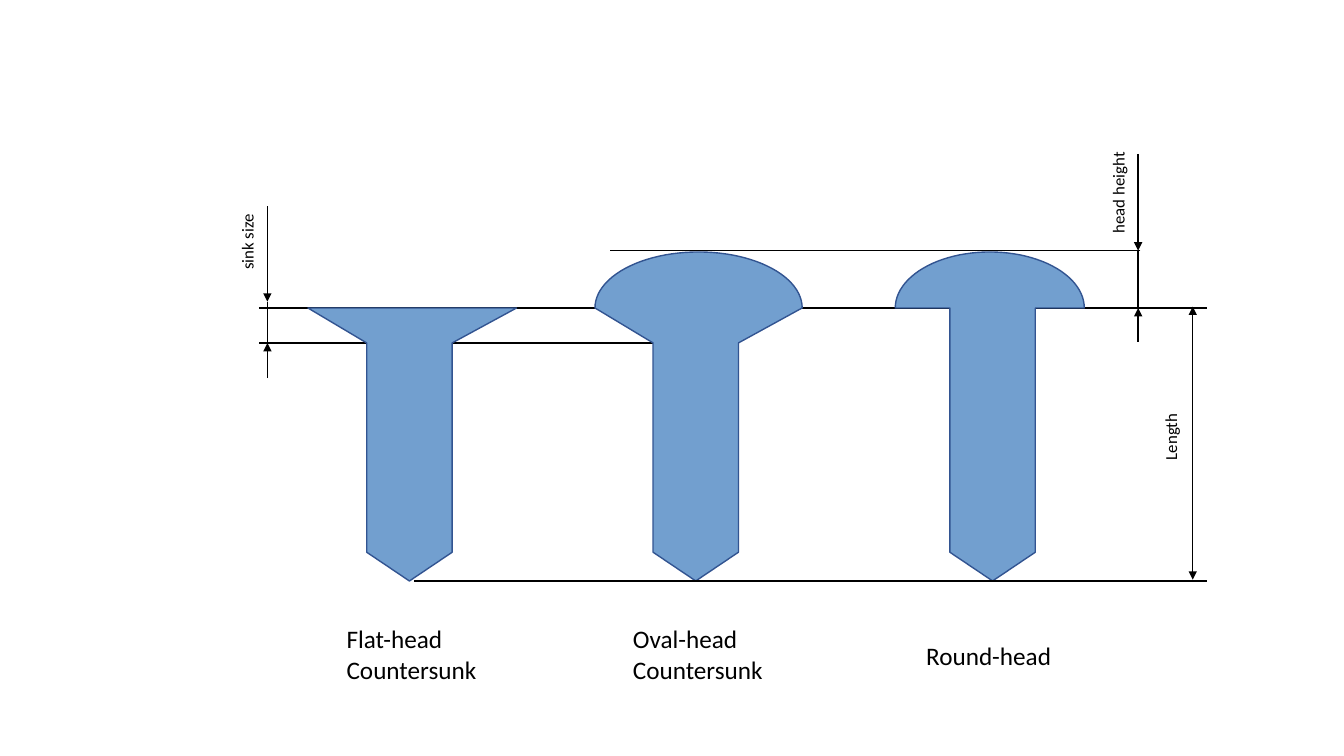
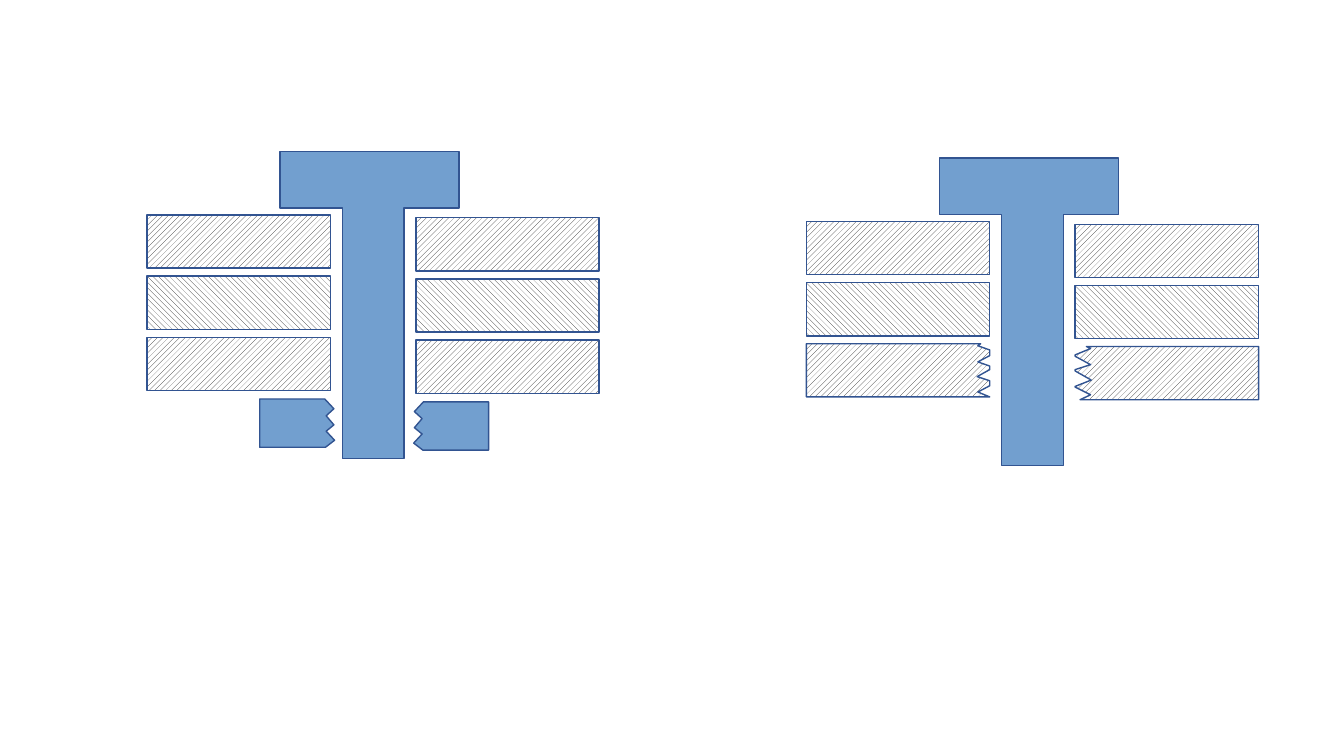
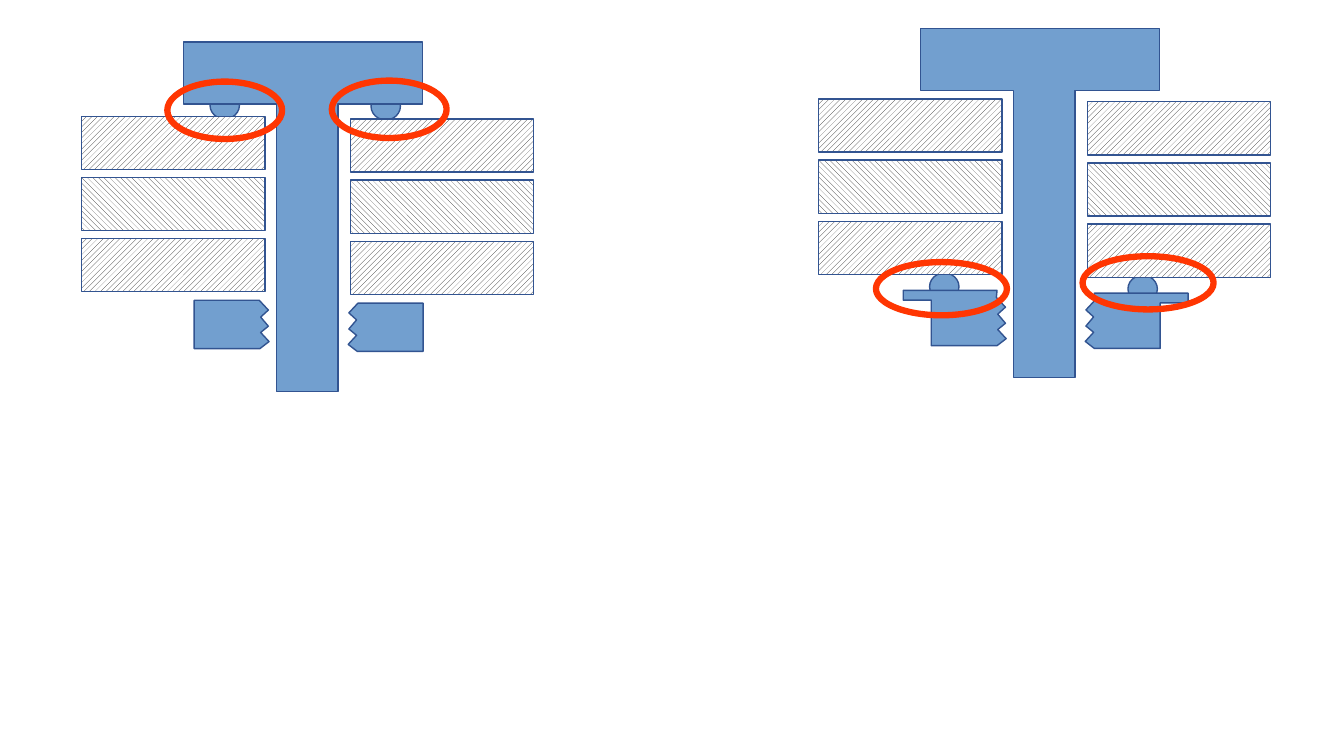
from dataclasses import dataclass
from math import cos, pi, sin

from lxml.etree import SubElement
from pptx import Presentation
from pptx.dml.color import RGBColor
from pptx.enum.dml import MSO_PATTERN
from pptx.enum.shapes import MSO_CONNECTOR, MSO_SHAPE
from pptx.enum.text import MSO_AUTO_SIZE
from pptx.oxml.ns import qn
from pptx.util import Pt


@dataclass(frozen=True)
class Theme:
    steel: RGBColor = RGBColor(0x72, 0x9F, 0xCF)
    edge: RGBColor = RGBColor(0x32, 0x54, 0x91)
    ink: RGBColor = RGBColor(0, 0, 0)
    hatch: RGBColor = RGBColor(0x26, 0x26, 0x26)
    paper: RGBColor = RGBColor(0xFF, 0xFF, 0xFF)
    alert: RGBColor = RGBColor(0xFF, 0x36, 0x02)
    font: str = "Calibri"
    note: float = 12
    title: float = 18
    thin: float = 1
    thick: float = 4.5


THEME = Theme()
RISE = MSO_PATTERN.WIDE_UPWARD_DIAGONAL
FALL = MSO_PATTERN.WIDE_DOWNWARD_DIAGONAL

DATUM, CROWN, SINK, POINT, TIP = 220, 180, 245, 394.5, 415

WIDTH, HEIGHT = 131, 38
PITCH, SPAN, DROP = 43.7, 192, 2

THREAD = [(46.5, 0), (53, 7), (47.5, 12), (53, 18.5), (47.5, 23),
          (53.5, 29.5), (47, 34.5)]
NUT = [(0, 0), *THREAD, (0, 34.5)]
FLANGED = [(-20, -5), (47, -5), *THREAD, (0, 34.5), (0, 2), (-20, 2)]
TAP_LEFT = [(0, 0), (124.5, 0), (122.5, 1.5), (131, 4.5), (131, 8.5),
            (122.5, 13), (131, 16), (131, 18.5), (122, 23.5), (131, 26.5),
            (131, 30), (122.5, 34.5), (131, 38), (0, 38)]
TAP_RIGHT = [(0, 0), (123, 0), (120, 1.5), (131, 6), (131, 7), (120, 13),
             (131, 16.5), (131, 17.5), (119.5, 24), (131, 28.5), (131, 29),
             (120, 34.5), (127.5, 38), (0, 38)]


def paint(shape, hatch=None):
    shape.shadow.inherit = False
    if hatch is None:
        shape.fill.solid()
        shape.fill.fore_color.rgb = THEME.steel
    else:
        shape.fill.patterned()
        shape.fill.pattern = hatch
        shape.fill.fore_color.rgb = THEME.hatch
        shape.fill.back_color.rgb = THEME.paper
    shape.line.color.rgb = THEME.edge
    shape.line.width = Pt(THEME.thin)


def basic(slide, kind, left, top, width, height):
    return slide.shapes.add_shape(kind, Pt(left), Pt(top), Pt(width), Pt(height))


def outline(slide, points, hatch=None):
    dots = [(Pt(x), Pt(y)) for x, y in points]
    build = slide.shapes.build_freeform(*dots[0], scale=1.0)
    build.add_line_segments(dots[1:], close=True)
    paint(build.convert_to_shape(), hatch)


def profile(slide, left, top, side, points, hatch=None):
    outline(slide, [(left + side * x, top + y) for x, y in points], hatch)


def rule(slide, start, end, head=False, tail=False):
    line = slide.shapes.add_connector(
        MSO_CONNECTOR.STRAIGHT, *(Pt(v) for v in (*start, *end)))
    line.line.color.rgb = THEME.ink
    line.line.width = Pt(THEME.thin)
    props = line._element.spPr
    stroke = props.find(qn("a:ln"))
    for tag, shown in (("a:headEnd", head), ("a:tailEnd", tail)):
        if shown:
            SubElement(stroke, qn(tag)).set("type", "triangle")
    SubElement(props, qn("a:effectLst"))


def label(slide, text, left, top, width, height, size, turn=0):
    box = slide.shapes.add_textbox(Pt(left), Pt(top), Pt(width), Pt(height))
    box.rotation = turn
    frame = box.text_frame
    frame.word_wrap = bool(turn)
    frame.auto_size = MSO_AUTO_SIZE.SHAPE_TO_FIT_TEXT
    frame.text = text
    for para in frame.paragraphs:
        for run in para.runs:
            run.font.name = THEME.font
            run.font.size = Pt(size)
            run.font.color.rgb = THEME.ink


def note(slide, text, left, top):
    label(slide, text, left, top, 74, 21.6, THEME.note, 270)


def screw(slide, shank, head, half, dome, cone):
    steps = 48 if dome else 1
    crown = [(head - half * cos(pi * i / steps),
              DATUM - (DATUM - CROWN) * sin(pi * i / steps))
             for i in range(steps + 1)]
    neck = SINK if cone else DATUM
    left, right = shank - 30.5, shank + 30.5
    outline(slide, crown + [(right, neck), (right, POINT), (shank, TIP),
                            (left, POINT), (left, neck)])


def gauge(slide, x, start, upper, lower, stop):
    rule(slide, (x, stop), (x, lower), tail=True)
    rule(slide, (x, start), (x, upper), tail=True)
    rule(slide, (x, upper), (x, lower))


def bolt(slide, left, top, width, height, shank, length):
    right, base = left + width, top + height
    end = top + length
    outline(slide, [(left, top), (right, top), (right, base),
                    (shank + 44, base), (shank + 44, end), (shank, end),
                    (shank, base), (left, base)])


def plates(slide, left, top, rows):
    for row in range(rows):
        for col in range(2):
            plate = basic(slide, MSO_SHAPE.RECTANGLE, left + col * SPAN,
                          top + row * PITCH + col * DROP, WIDTH, HEIGHT)
            paint(plate, FALL if row % 2 else RISE)


def pair(slide, left, top, right, shapes, hatch=None):
    profile(slide, left, top, 1, shapes[0], hatch)
    profile(slide, right, top + DROP, -1, shapes[1], hatch)


def nuts(slide, left, top, points):
    pair(slide, left + 80.5, top, left + 244, (points, points))


def bumps(slide, spots):
    for left, top in spots:
        paint(basic(slide, MSO_SHAPE.OVAL, left, top, 21, 19.5))


def rings(slide, spots, width, height):
    for left, top in spots:
        ring = basic(slide, MSO_SHAPE.OVAL, left, top, width, height)
        ring.shadow.inherit = False
        ring.fill.background()
        ring.line.color.rgb = THEME.alert
        ring.line.width = Pt(THEME.thick)


def heads(slide):
    rule(slide, (185, DATUM), (862, DATUM))
    rule(slide, (527, SINK), (185, SINK))
    screw(slide, 292.5, 294.5, 74.5, False, True)
    screw(slide, 709, 707, 67.5, True, False)
    screw(slide, 497, 499, 74, True, True)
    rule(slide, (862, TIP), (296, TIP))
    note(slide, "Length", 799, 288)
    rule(slide, (852, TIP - 1), (852, DATUM - 1), head=True, tail=True)
    rule(slide, (814.5, CROWN - 1), (435.5, CROWN - 1))
    gauge(slide, 191, 147.5, 215.5, SINK, 270)
    note(slide, "sink size", 139.5, 152)
    gauge(slide, 813, 110, CROWN - 1, DATUM, 244)
    note(slide, "head height", 761.5, 126)
    for text, left, top, width, height in (
            ("Flat-head\nCountersunk", 240.5, 442, 108, 51),
            ("Oval-head\nCountersunk", 445, 442, 108, 51),
            ("Round-head", 654.5, 453.5, 105, 29)):
        label(slide, text, left, top, width, height, THEME.title)


def joints(slide):
    for left, top, rows in ((105, 153.5, 3), (576, 158.3, 2)):
        bolt(slide, left + 95, top - 45.4, 128, 40.5, left + 139.5, 219.5)
        plates(slide, left, top, rows)
    nuts(slide, 105, 285, NUT)
    pair(slide, 576, 245.5, 576 + SPAN + WIDTH, (TAP_LEFT, TAP_RIGHT), RISE)


def seals(slide):
    bumps(slide, [(150, 65.5), (265, 66.2), (664, 195), (805.7, 196.6)])
    for left, top, crest, base, points in (
            (58.2, 83, 30, 214.5, NUT), (584.7, 70.7, 20.2, 212.4, FLANGED)):
        plates(slide, left, top, 3)
        nuts(slide, left, base, points)
        bolt(slide, left + 73, crest, 170.5, 44.3, left + 139.3, 249.5)
    rings(slide, [(119.5, 58.3), (237, 57.6)], 82, 41)
    rings(slide, [(625.7, 187.2), (773.3, 183)], 93.6, 38)


def main():
    deck = Presentation()
    deck.slide_width, deck.slide_height = Pt(960), Pt(540)
    for draw in (heads, joints, seals):
        draw(deck.slides.add_slide(deck.slide_layouts[6]))
    deck.save("out.pptx")


if __name__ == "__main__":
    main()
